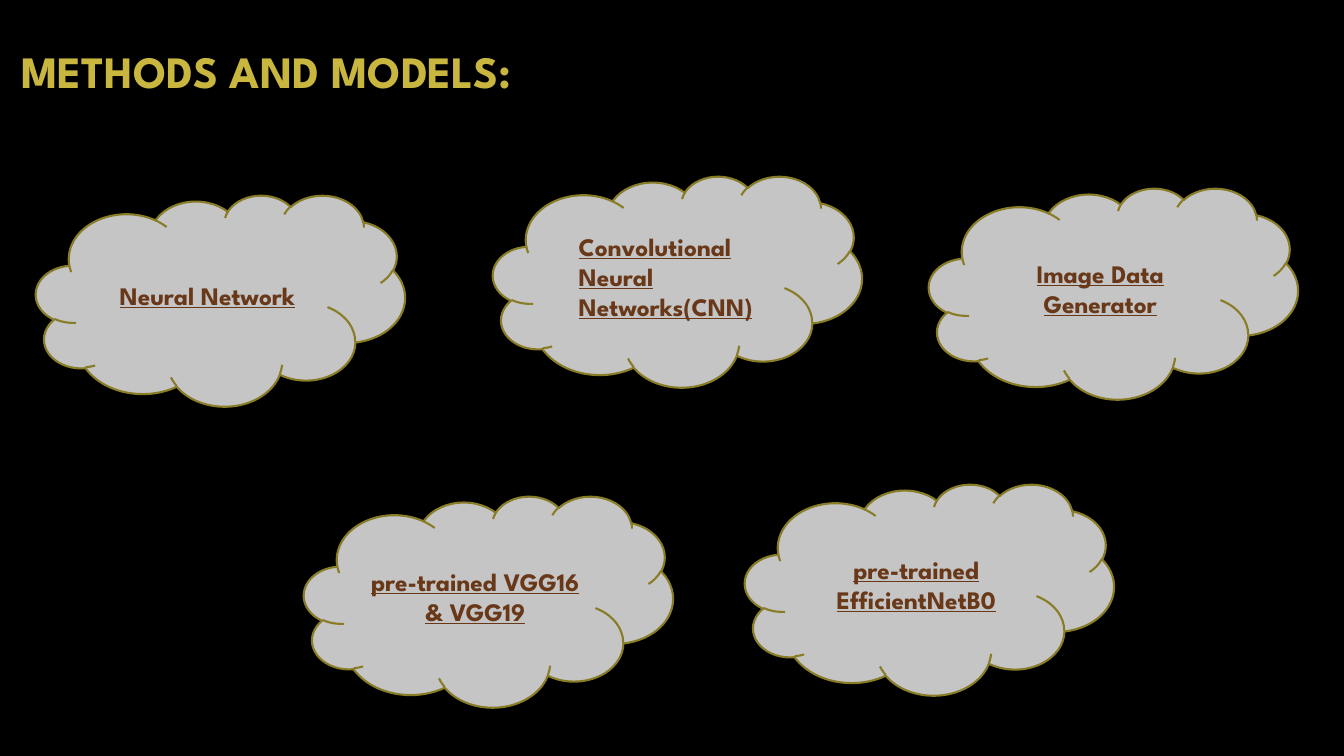
"""Build the "Methods and models" slide with five labelled clouds."""
from pptx import Presentation
from pptx.dml.color import RGBColor
from pptx.enum.shapes import MSO_SHAPE
from pptx.enum.text import MSO_ANCHOR, PP_ALIGN
from pptx.util import Pt

CLOUD = MSO_SHAPE.CLOUD
MIDDLE = MSO_ANCHOR.MIDDLE
LEFT, CENTER = PP_ALIGN.LEFT, PP_ALIGN.CENTER
EMU_PER_PX = 914400 / 100.8
CLOUD_WIDTH, CLOUD_HEIGHT = 369, 211
CLOUDS = [
    ("Neural Network", 36, 195, CENTER, 0),
    ("pre-trained VGG16 & VGG19", 304, 496, CENTER, 0),
    ("Convolutional Neural Networks(CNN)", 493, 176, LEFT, 25),
    ("pre-trained EfficientNetB0", 745, 484, CENTER, 0),
    ("Image Data Generator", 929, 188, CENTER, 0),
]


def px(length):
    return round(length * EMU_PER_PX)


def write(shape, text, size, color, alignment):
    frame = shape.text_frame
    frame.word_wrap = True
    frame.vertical_anchor = MIDDLE
    paragraph = frame.paragraphs[0]
    paragraph.text = text
    paragraph.alignment = alignment
    font = paragraph.font
    font.name = "League Spartan"
    font.size = Pt(size)
    font.bold = True
    font.color.rgb = RGBColor.from_string(color)
    return paragraph


presentation = Presentation()
presentation.slide_width = px(1344)
presentation.slide_height = px(756)
slide = presentation.slides.add_slide(presentation.slide_layouts[5])
background = slide.background.fill
background.solid()
background.fore_color.rgb = RGBColor.from_string("000000")

title = slide.shapes.title
title.left, title.top, title.width, title.height = px(11), px(17), px(1187), px(107)
write(title, "METHODS AND MODELS:", 32, "C9B63F", LEFT)

for label, left, top, alignment, indent in CLOUDS:
    cloud = slide.shapes.add_shape(CLOUD, px(left), px(top), px(CLOUD_WIDTH), px(CLOUD_HEIGHT))
    cloud.shadow.inherit = False
    cloud.fill.solid()
    cloud.fill.fore_color.rgb = RGBColor.from_string("C5C5C5")
    cloud.line.color.rgb = RGBColor.from_string("897C27")
    cloud.line.width = Pt(1.5)
    paragraph = write(cloud, label, 18, "683819", alignment)
    paragraph.font.underline = True
    if indent:
        paragraph._p.get_or_add_pPr().set("marL", str(px(indent)))

presentation.save("out.pptx")
